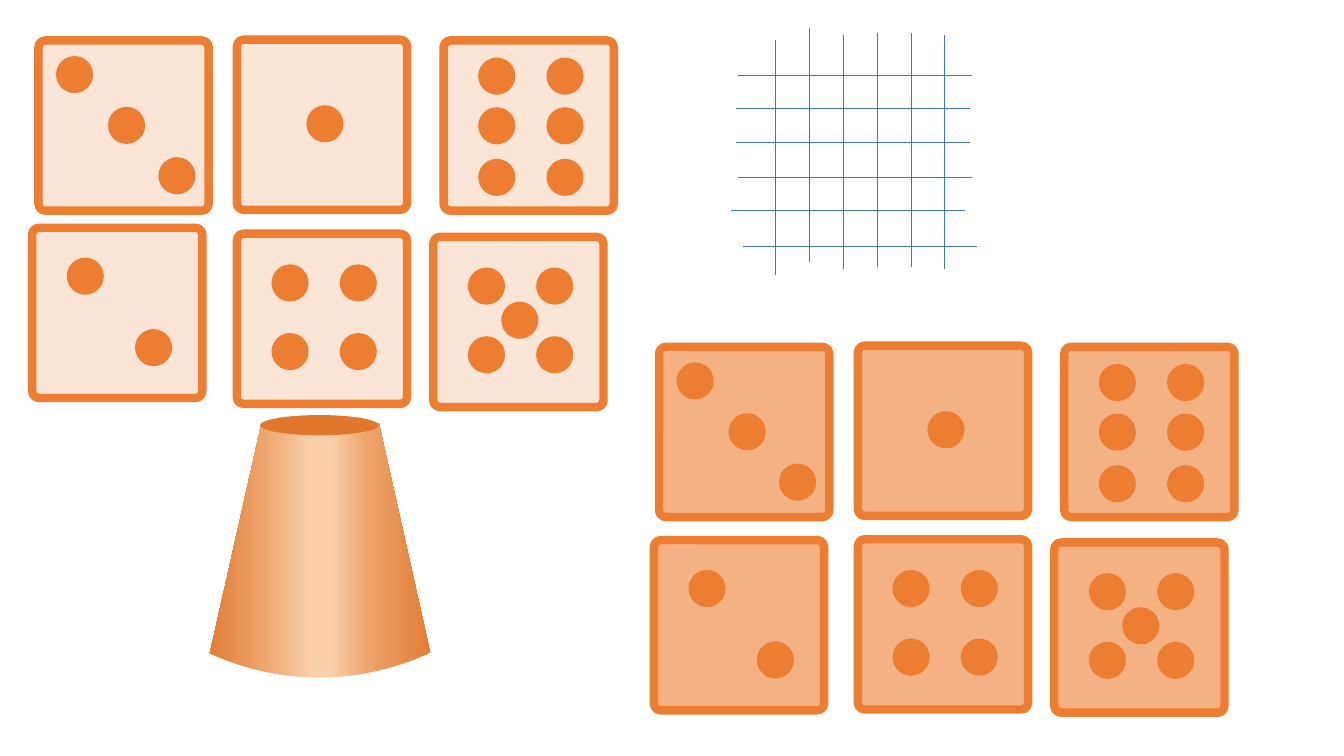
"""Build a slide with two sets of dice, a dice cup and a line grid."""
from lxml import etree
from pptx import Presentation
from pptx.dml.color import RGBColor
from pptx.enum.shapes import MSO_CONNECTOR, MSO_SHAPE
from pptx.oxml.ns import qn
from pptx.util import Cm, Pt

ROUNDED, OVAL = MSO_SHAPE.ROUNDED_RECTANGLE, MSO_SHAPE.OVAL
TRAPEZOID, ARC = MSO_SHAPE.TRAPEZOID, MSO_SHAPE.ARC
STRAIGHT = MSO_CONNECTOR.STRAIGHT

ORANGE, CUP_DARK, BLUE, WHITE = "ED7D31", "E1772D", "4472C4", "FFFFFF"
DIE_SIZE, PIP_SIZE, GRID_LENGTH = 4.29, 0.9, 5.9

CORNERS = [(x, y) for x in (0.89, 2.61) for y in (0.79, 2.52)]
PIPS = {
    1: [(1.77, 1.67)],
    2: [(0.89, 0.77), (2.61, 2.57)],
    3: [(0.46, 0.41), (1.77, 1.69), (3.04, 2.96)],
    4: CORNERS,
    5: CORNERS + [(1.73, 1.65)],
    6: [(x, y) for x in (0.89, 2.61) for y in (0.45, 1.7, 3.0)],
}
DICE_SETS = [
    ("FBE5D6", {3: (0.97, 1.02), 1: (5.97, 1.0), 6: (11.18, 1.02),
                2: (0.81, 5.74), 4: (5.97, 5.89), 5: (10.92, 5.97)}),
    ("F4B183", {3: (16.61, 8.74), 1: (21.62, 8.71), 6: (26.82, 8.74),
                2: (16.48, 13.61), 4: (21.62, 13.59), 5: (26.57, 13.67)}),
]
HORIZONTAL_STARTS = [(18.59, 1.91), (18.54, 2.74), (18.54, 3.58),
                     (18.59, 4.47), (18.42, 5.31), (18.72, 6.2)]
VERTICAL_STARTS = [(19.53, 1.02), (20.4, 0.71), (21.26, 0.89),
                   (22.12, 0.84), (22.96, 0.84), (23.8, 0.89)]
CUP_STOPS = [(0, CUP_DARK), (30, "EDA46C"), (45, "F9D0A9"),
             (54, "F9D0A9"), (70, "F0AD79"), (100, CUP_DARK)]


def rgb(value):
    return RGBColor.from_string(value)


def add_shape(group, kind, box, fill=None, line=None, width=1):
    shape = group.shapes.add_shape(kind, *map(Cm, box))
    shape.shadow.inherit = False
    if fill:
        shape.fill.solid()
        shape.fill.fore_color.rgb = rgb(fill)
    else:
        shape.fill.background()
    if line:
        shape.line.color.rgb = rgb(line)
        shape.line.width = Pt(width)
    else:
        shape.line.fill.background()
    return shape


def add_die(page, value, left, top, fill):
    group = page.shapes.add_group_shape()
    face = add_shape(group, ROUNDED, (left, top, DIE_SIZE, DIE_SIZE), fill, ORANGE, 6)
    face.adjustments[0] = 0.04
    for x, y in PIPS[value]:
        add_shape(group, OVAL, (left + x, top + y, PIP_SIZE, PIP_SIZE), ORANGE, ORANGE)


def add_grid(page):
    group = page.shapes.add_group_shape()
    directions = [(HORIZONTAL_STARTS, GRID_LENGTH, 0), (VERTICAL_STARTS, 0, GRID_LENGTH)]
    for starts, across, down in directions:
        for x, y in starts:
            line = group.shapes.add_connector(
                STRAIGHT, Cm(x), Cm(y), Cm(x + across), Cm(y + down))
            line.line.color.rgb = rgb(BLUE)
            line.line.width = Pt(0.5)
            etree.SubElement(line._element.spPr, qn("a:effectLst"))


def set_gradient(shape, stops, angle):
    shape.fill.gradient()
    shape.fill.gradient_angle = angle
    stop_list = shape._element.spPr.find(".//" + qn("a:gsLst"))
    for old in list(stop_list):
        stop_list.remove(old)
    for percent, color in stops:
        stop = etree.SubElement(stop_list, qn("a:gs"), pos=str(percent * 1000))
        etree.SubElement(stop, qn("a:srgbClr"), val=color)


def add_cup(page):
    group = page.shapes.add_group_shape()
    body = add_shape(group, TRAPEZOID, (5.11, 10.67, 5.92, 6.6))
    set_gradient(body, CUP_STOPS, 180)
    add_shape(group, OVAL, (6.56, 10.46, 2.98, 0.51), CUP_DARK)
    base = add_shape(group, ARC, (1.04, 3.48, 14, 14), None, WHITE, 23)
    base.rotation = 134.1


deck = Presentation()
deck.slide_width, deck.slide_height = Cm(33.87), Cm(19.05)
page = deck.slides.add_slide(deck.slide_layouts[6])
add_grid(page)
add_cup(page)
for fill, dice in DICE_SETS:
    for value, (left, top) in dice.items():
        add_die(page, value, left, top, fill)
deck.save("out.pptx")
